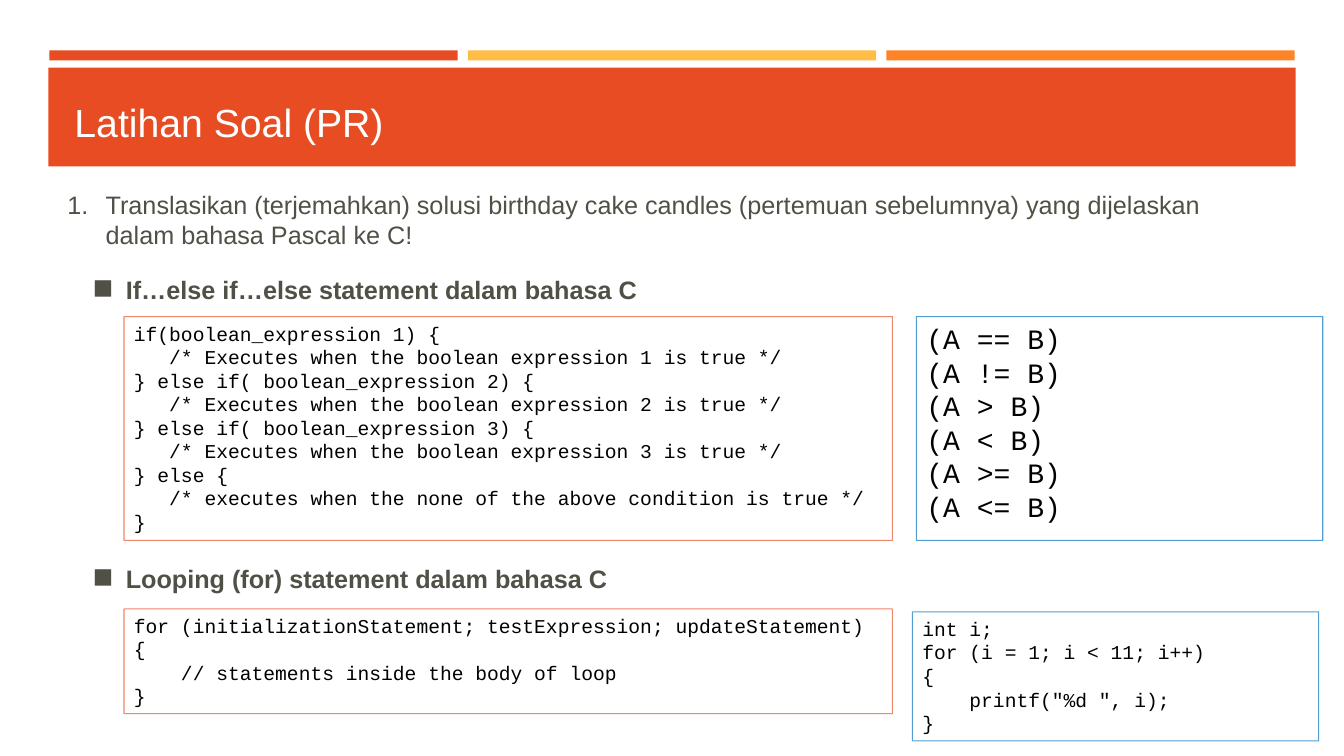
from pptx import Presentation
from pptx.dml.color import RGBColor
from pptx.enum.shapes import MSO_SHAPE
from pptx.enum.text import MSO_ANCHOR, PP_ALIGN
from pptx.oxml.ns import qn
from pptx.util import Inches, Pt
from lxml.etree import SubElement

RED = RGBColor(0xE8, 0x4C, 0x22)
YELLOW = RGBColor(0xFF, 0xBD, 0x47)
ORANGE = RGBColor(0xFF, 0x84, 0x27)
BLUE = RGBColor(0x00, 0x70, 0xC0)
GREY = RGBColor(0x50, 0x50, 0x46)
BLACK = RGBColor(0x00, 0x00, 0x00)
WHITE = RGBColor(0xFF, 0xFF, 0xFF)

IF_ELSE = """if(boolean_expression 1) {
   /* Executes when the boolean expression 1 is true */
} else if( boolean_expression 2) {
   /* Executes when the boolean expression 2 is true */
} else if( boolean_expression 3) {
   /* Executes when the boolean expression 3 is true */
} else {
   /* executes when the none of the above condition is true */
}"""
FOR_SYNTAX = """for (initializationStatement; testExpression; updateStatement)
{
    // statements inside the body of loop
}"""
FOR_EXAMPLE = """int i;
for (i = 1; i < 11; i++)
{
    printf("%d ", i);
}"""
COMPARISONS = "\n".join(f"(A {sign} B)" for sign in ("==", "!=", ">", "<", ">=", "<="))


class SlideBuilder:
    text_font = "Arial"
    code_font = "Courier New"

    def __init__(self, slide):
        self.slide = slide

    def _rect(self, left, top, width, height):
        rect = self.slide.shapes.add_shape(
            MSO_SHAPE.RECTANGLE, Inches(left), Inches(top), Inches(width), Inches(height))
        rect.shadow.inherit = False
        return rect

    def _run(self, paragraph, text, font, size, color, bold=False):
        run = paragraph.add_run()
        run.text = text
        run.font.name = font
        run.font.size = Pt(size)
        run.font.color.rgb = color
        run.font.bold = bold

    def bar(self, left, top, width, height, color):
        bar = self._rect(left, top, width, height)
        bar.fill.solid()
        bar.fill.fore_color.rgb = color
        bar.line.fill.background()

    def text(self, left, top, width, height, words, size=18, color=GREY,
             bold=False, anchor=MSO_ANCHOR.TOP):
        box = self.slide.shapes.add_textbox(
            Inches(left), Inches(top), Inches(width), Inches(height))
        frame = box.text_frame
        frame.word_wrap = True
        frame.vertical_anchor = anchor
        paragraph = frame.paragraphs[0]
        self._run(paragraph, words, self.text_font, size, color, bold)
        return paragraph

    def list_item(self, left, top, width, height, words, indent, marker, bold=False):
        paragraph = self.text(left, top, width, height, words, bold=bold)
        properties = paragraph._p.get_or_add_pPr()
        properties.set("marL", str(Inches(indent)))
        properties.set("indent", str(-Inches(indent)))
        tag, attribute, value = marker
        SubElement(properties, qn(tag)).set(attribute, value)

    def code(self, left, top, width, height, source, color, size=14):
        box = self._rect(left, top, width, height)
        box.fill.background()
        box.line.color.rgb = color
        box.line.width = Pt(0.75)
        # Line opacity
        line_color = box.line._ln.find(".//" + qn("a:srgbClr"))
        SubElement(line_color, qn("a:alpha")).set("val", "67000")
        frame = box.text_frame
        frame.word_wrap = True
        frame.vertical_anchor = MSO_ANCHOR.TOP
        for number, code_line in enumerate(source.split("\n")):
            paragraph = frame.add_paragraph() if number else frame.paragraphs[0]
            paragraph.alignment = PP_ALIGN.LEFT
            self._run(paragraph, code_line, self.code_font, size, BLACK)


def main():
    presentation = Presentation()
    presentation.slide_width = Inches(13.33)
    presentation.slide_height = Inches(7.5)
    builder = SlideBuilder(presentation.slides.add_slide(presentation.slide_layouts[6]))

    # Header band with three accent bars
    for column, color in enumerate((RED, YELLOW, ORANGE)):
        builder.bar(0.49 + 4.15 * column, 0.5, 4.05, 0.1, color)
    builder.bar(0.48, 0.67, 12.37, 0.98, RED)
    builder.text(0.64, 0.77, 12.06, 0.88, "Latihan Soal (PR)",
                 size=28, color=WHITE, anchor=MSO_ANCHOR.MIDDLE)

    # Exercise
    builder.list_item(
        0.57, 1.83, 12.06, 0.94,
        "Translasikan (terjemahkan) solusi birthday cake candles (pertemuan sebelumnya) "
        "yang dijelaskan dalam bahasa Pascal ke C!",
        0.38, ("a:buAutoNum", "type", "arabicPeriod"))

    # Section headings
    square = ("a:buChar", "char", "◼")
    for top, height, heading in (
            (2.67, 0.57, "If…else if…else statement dalam bahasa C"),
            (5.54, 0.5, "Looping (for) statement dalam bahasa C")):
        builder.list_item(0.82, top, 12.06, height, heading, 0.33, square, bold=True)

    # Syntax on the left, examples on the right
    builder.code(1.23, 3.14, 7.62, 2.22, IF_ELSE, RED)
    builder.code(1.23, 6.04, 7.62, 1.04, FOR_SYNTAX, RED)
    builder.code(9.05, 6.07, 4.03, 1.28, FOR_EXAMPLE, BLUE)
    builder.code(9.09, 3.14, 4.03, 2.22, COMPARISONS, BLUE, size=20)

    presentation.save("out.pptx")


if __name__ == "__main__":
    main()
